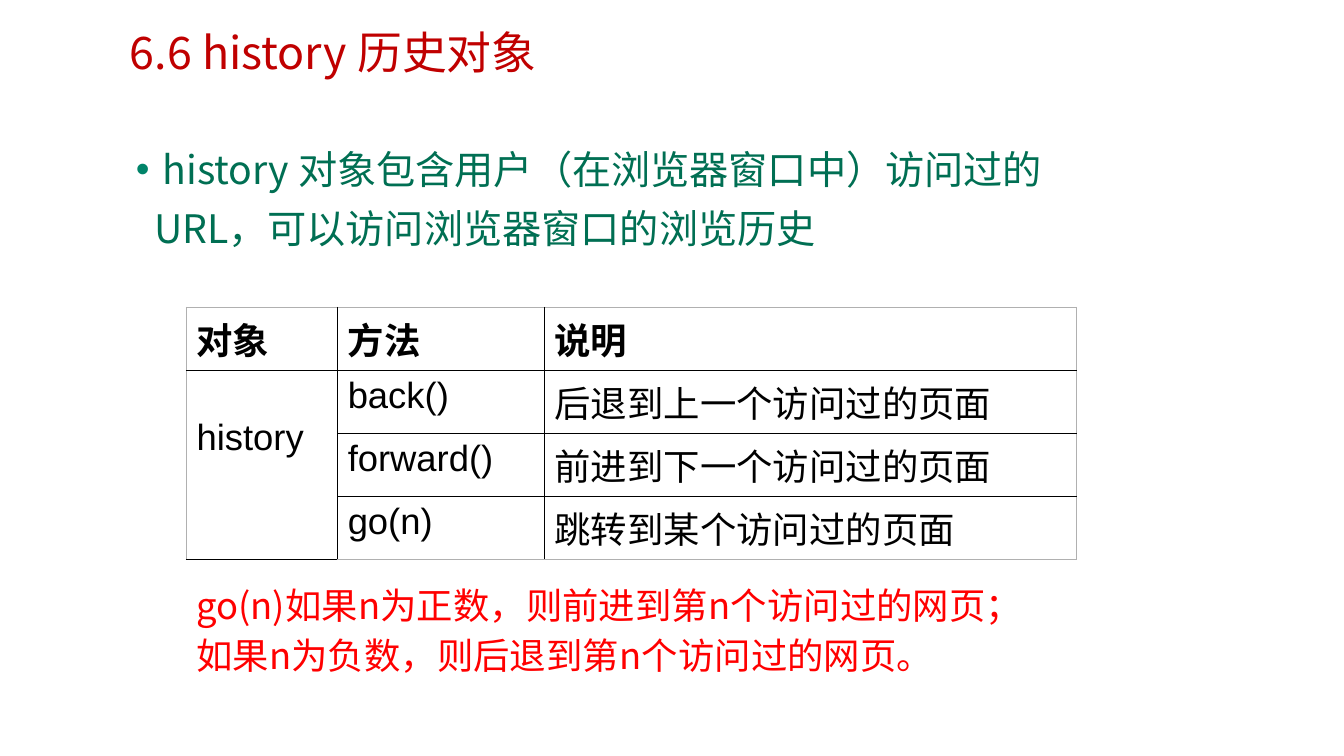
from lxml import etree
from pptx import Presentation
from pptx.dml.color import RGBColor
from pptx.enum.text import MSO_ANCHOR
from pptx.oxml.ns import qn
from pptx.util import Pt

TOP = MSO_ANCHOR.TOP
RED = RGBColor(0xC0, 0x00, 0x00)
BRIGHT_RED = RGBColor(0xFF, 0x00, 0x00)
GREEN = RGBColor(0x00, 0x6F, 0x53)
BULLET_GREEN = RGBColor(0x00, 0x84, 0x69)
BLACK = RGBColor(0x00, 0x00, 0x00)
GRAY = RGBColor(0xB0, 0xB0, 0xB0)
CJK = "Noto Sans CJK SC"
LATIN = "Arial"

TITLE = "6.6 history 历史对象"
INTRO = " history 对象包含用户（在浏览器窗口中）访问过的 URL，可以访问浏览器窗口的浏览历史"
NOTES = [
    "go(n)如果n为正数，则前进到第n个访问过的网页；",
    "如果n为负数，则后退到第n个访问过的网页。",
]
METHODS = [
    ("对象", "方法", "说明"),
    ("history", "back()", "后退到上一个访问过的页面"),
    ("", "forward()", "前进到下一个访问过的页面"),
    ("", "go(n)", "跳转到某个访问过的页面"),
]
COLS = (108, 147.6, 380)
ROW_H = 45
OBJECT_DROP = 34


def write(p, text, size=26, color=BLACK, font=CJK, bold=False, spacing=None,
          hang=0, bullet=None):
    pPr = p._p.get_or_add_pPr()
    if hang:
        pPr.set("marL", str(Pt(hang)))
        pPr.set("indent", str(-Pt(hang)))
    if bullet is not None:
        clr = etree.SubElement(pPr, qn("a:buClr"))
        etree.SubElement(clr, qn("a:srgbClr"), val=str(bullet))
        etree.SubElement(pPr, qn("a:buFont"), typeface=LATIN)
        etree.SubElement(pPr, qn("a:buChar"), char="•")
    if spacing:
        p.line_spacing = spacing
    r = p.add_run()
    r.text = text
    r.font.size = Pt(size)
    r.font.bold = bold
    r.font.color.rgb = color
    r.font.name = font
    etree.SubElement(r._r.get_or_add_rPr(), qn("a:ea"), typeface=CJK)


def add_box(s, x, y, w, h, lines, **fmt):
    tf = s.shapes.add_textbox(Pt(x), Pt(y), Pt(w), Pt(h)).text_frame
    tf.word_wrap = True
    tf.vertical_anchor = TOP
    for i, line in enumerate(lines):
        write(tf.add_paragraph() if i else tf.paragraphs[0], line, **fmt)


def set_borders(cell, sides):
    tcPr = cell._tc.get_or_add_tcPr()
    for i, (side, color, width) in enumerate(sides):
        ln = etree.Element(qn("a:ln" + side), w=str(Pt(width)))
        fill = etree.SubElement(ln, qn("a:solidFill"))
        etree.SubElement(fill, qn("a:srgbClr"), val=str(color))
        tcPr.insert(i, ln)


def add_methods(s, x, y):
    n_rows, n_cols = len(METHODS), len(COLS)
    tbl = s.shapes.add_table(n_rows, n_cols, Pt(x), Pt(y),
                             Pt(sum(COLS)), Pt(ROW_H * n_rows)).table
    tbl.first_row = tbl.horz_banding = False
    for col, w in zip(tbl.columns, COLS):
        col.width = Pt(w)
    for i, texts in enumerate(METHODS):
        tbl.rows[i].height = Pt(ROW_H)
        for j, text in enumerate(texts):
            cell = tbl.cell(i, j)
            cell.fill.background()
            cell.vertical_anchor = TOP
            set_borders(cell, [
                ("L", BLACK if j else GRAY, 1),
                ("R", BLACK if j < n_cols - 1 else GRAY, 1),
                ("T", BLACK if i else GRAY, 1.5 if i == 1 else 1),
                ("B", BLACK if i < n_rows - 1 else GRAY, 1.5 if i == 0 else 1),
            ])
            if text:
                write(cell.text_frame.paragraphs[0], text, font=LATIN, bold=i == 0)
    owner = tbl.cell(1, 0)
    owner.merge(tbl.cell(n_rows - 1, 0))
    owner.margin_top = Pt(OBJECT_DROP)


def main():
    prs = Presentation()
    prs.slide_width, prs.slide_height = Pt(960), Pt(540)
    s = prs.slides.add_slide(prs.slide_layouts[6])
    add_box(s, 85.7, 18.7, 645, 39, [TITLE], size=32, color=RED, spacing=0.9)
    add_methods(s, 133.2, 219.6)
    add_box(s, 133.2, 408.2, 668, 80, NOTES, color=BRIGHT_RED, spacing=Pt(36))
    add_box(s, 90, 92, 740, 110, [INTRO], size=28, color=GREEN, spacing=1.25,
            hang=13, bullet=BULLET_GREEN)
    prs.save("out.pptx")


if __name__ == "__main__":
    main()
